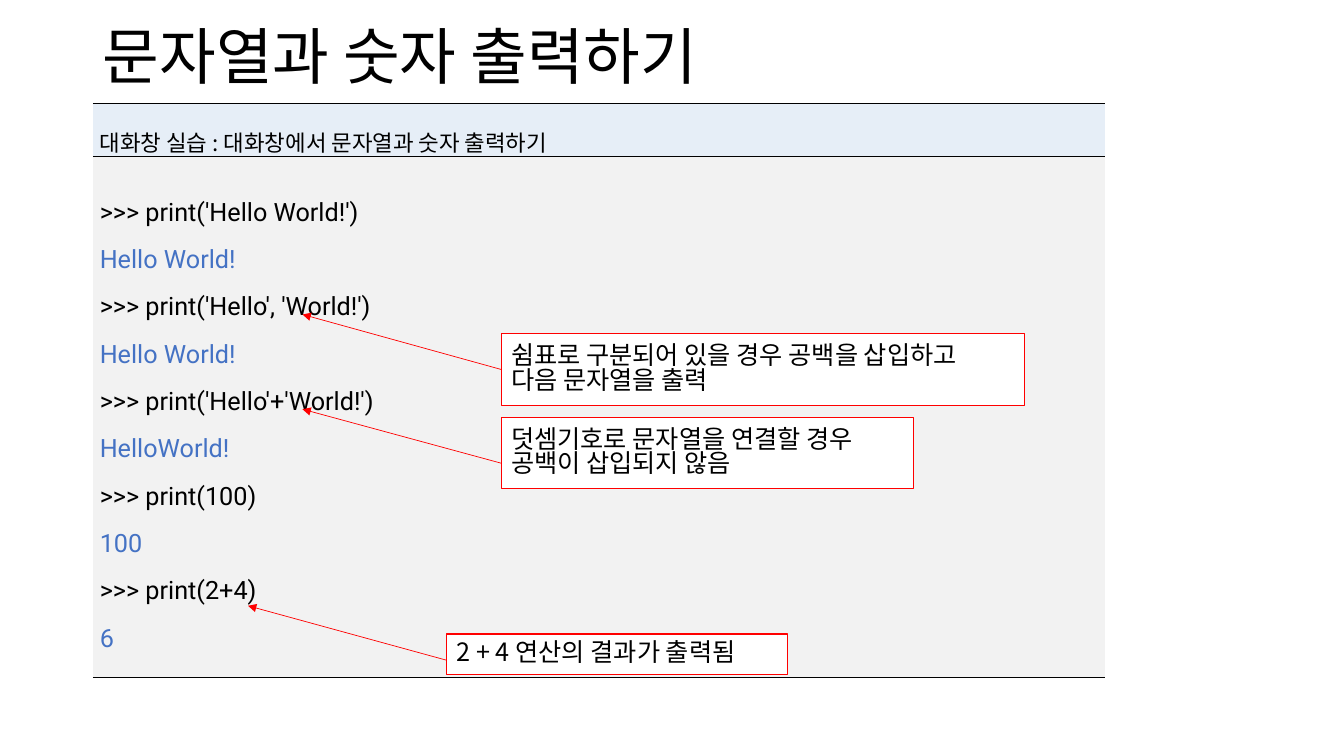
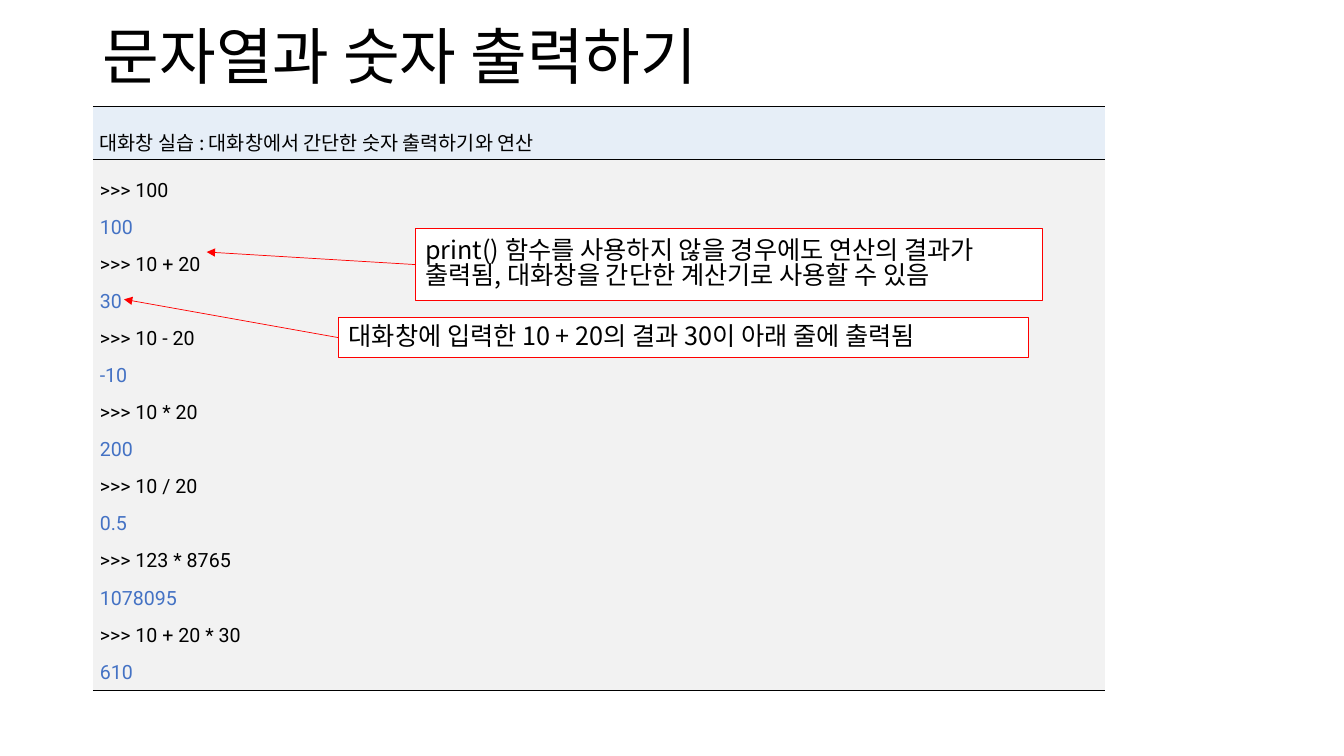
from dataclasses import dataclass

from lxml.etree import SubElement
from pptx import Presentation
from pptx.dml.color import RGBColor
from pptx.enum.shapes import MSO_CONNECTOR as CONN, MSO_SHAPE as SHAPE
from pptx.enum.text import MSO_ANCHOR as ANCHOR, PP_ALIGN as ALIGN
from pptx.oxml.ns import qn
from pptx.util import Emu, Pt

EMU_PER_PX = 9144  # 100 px to the inch


@dataclass(frozen=True)
class Theme:
    ink: str = "000000"
    output: str = "4472C4"
    header: str = "E6EEF7"
    console: str = "F2F2F2"
    paper: str = "FFFFFF"
    accent: str = "FF0000"
    korean: str = "Noto Sans CJK KR"
    code: str = "Roboto"
    title_size: int = 44
    note_size: int = 18
    title_spacing: float = 0.9
    table_spacing: float = 1.6
    note_spacing: float = 0.82
    rule: float = 0.28
    top_rule: float = 1
    box_line: float = 0.75
    arrow_line: float = 0.5


T = Theme()
TITLE_TEXT = "문자열과 숫자 출력하기"
TITLE_BOX = (92, 0, 1150, 119)
TABLE_LEFT, TABLE_WIDTH = 92, 1004
ROW_HEIGHTS = (52, 517)
PROMPT = ">>>"


def px(n):
    return Emu(round(n * EMU_PER_PX))


def rgb(value):
    return RGBColor.from_string(value)


def write(tf, lines, size, font, spacing, align=ALIGN.LEFT, color_of=lambda line: T.ink):
    """Fill a text frame with one paragraph per line."""
    tf.word_wrap = True
    tf.vertical_anchor = ANCHOR.MIDDLE
    tf.text = "\n".join(lines)
    for p in tf.paragraphs:
        p.alignment = align
        p.line_spacing = spacing
        for r in p.runs:
            r.font.size = Pt(size)
            r.font.name = font
            r.font.color.rgb = rgb(color_of(r.text))
            SubElement(r._r.get_or_add_rPr(), qn("a:ea"), typeface=font)


def console_color(line):
    return T.ink if line.startswith(PROMPT) else T.output


def add_title(slide, box):
    sp = slide.shapes.add_textbox(*map(px, box))
    write(sp.text_frame, [TITLE_TEXT], T.title_size, T.korean, T.title_spacing)


def style_cell(cell, fill, top, bottom):
    """Give a cell its margins, horizontal rules and fill; a width of 0 means no rule."""
    cell.margin_left = cell.margin_right = px(7)
    cell.margin_top = cell.margin_bottom = px(2)
    cell.vertical_anchor = ANCHOR.MIDDLE
    tcPr = cell._tc.get_or_add_tcPr()
    for tag, width in (("lnL", 0), ("lnR", 0), ("lnT", top), ("lnB", bottom)):
        ln = SubElement(tcPr, qn(f"a:{tag}"), w=str(Pt(width)))
        if width:
            solid = SubElement(ln, qn("a:solidFill"))
            SubElement(solid, qn("a:srgbClr"), val=T.ink)
        else:
            SubElement(ln, qn("a:noFill"))
    cell.fill.solid()
    cell.fill.fore_color.rgb = rgb(fill)


def add_console(slide, top, heading, heading_size, lines, code_size):
    """Add the two-row table: a heading over an interactive session."""
    box = (TABLE_LEFT, top, TABLE_WIDTH, sum(ROW_HEIGHTS))
    table = slide.shapes.add_table(2, 1, *map(px, box)).table
    table.first_row = table.horz_banding = False
    for row, height in zip(table.rows, ROW_HEIGHTS):
        row.height = px(height)
    head, body = table.cell(0, 0), table.cell(1, 0)
    style_cell(head, T.header, T.top_rule, T.rule)
    style_cell(body, T.console, T.rule, T.rule)
    write(head.text_frame, [heading], heading_size, T.korean, T.table_spacing, ALIGN.JUSTIFY)
    write(body.text_frame, lines, code_size, T.code, T.table_spacing,
          ALIGN.JUSTIFY, console_color)
    for cell in (head, body):
        cell.vertical_anchor = ANCHOR.MIDDLE


def add_callout(slide, box, lines, tip, drop=0):
    """Add a note with an arrow to tip, starting drop px below its left middle."""
    sp = slide.shapes.add_shape(SHAPE.RECTANGLE, *map(px, box))
    sp.shadow.inherit = False
    sp.fill.solid()
    sp.fill.fore_color.rgb = rgb(T.paper)
    sp.line.color.rgb = rgb(T.accent)
    sp.line.width = Pt(T.box_line)
    write(sp.text_frame, lines, T.note_size, T.korean, T.note_spacing)

    left, top, _, height = box
    start = (left, top + height / 2 + drop)
    arrow = slide.shapes.add_connector(CONN.STRAIGHT, *map(px, start + tip))
    if not drop:
        arrow.begin_connect(sp, 1)
    arrow.line.color.rgb = rgb(T.accent)
    arrow.line.width = Pt(T.arrow_line)
    spPr = arrow._element.spPr
    SubElement(spPr.find(qn("a:ln")), qn("a:tailEnd"), type="triangle")
    SubElement(spPr, qn("a:effectLst"))


def add_practice_slide(prs, console, callouts):
    slide = prs.slides.add_slide(prs.slide_layouts[6])
    add_title(slide, TITLE_BOX)
    add_console(slide, **console)
    for callout in callouts:
        add_callout(slide, **callout)


STRINGS = dict(
    top=103,
    heading="대화창 실습 : 대화창에서 문자열과 숫자 출력하기",
    heading_size=16,
    lines=[
        ">>> print('Hello World!')", "Hello World!",
        ">>> print('Hello', 'World!')", "Hello World!",
        ">>> print('Hello'+'World!')", "HelloWorld!",
        ">>> print(100)", "100",
        ">>> print(2+4)", "6",
    ],
    code_size=18,
)
STRING_NOTES = [
    dict(box=(497, 331, 519, 71), tip=(300, 312),
         lines=["쉼표로 구분되어 있을 경우 공백을 삽입하고", "다음 문자열을 출력"]),
    dict(box=(497, 414, 409, 71), tip=(300, 406), drop=10,
         lines=["덧셈기호로 문자열을 연결할 경우", "공백이 삽입되지 않음"]),
    dict(box=(443, 629, 338, 40), tip=(246, 601), drop=6,
         lines=["2 + 4 연산의 결과가 출력됨"]),
]

NUMBERS = dict(
    top=106,
    heading="대화창 실습 : 대화창에서 간단한 숫자 출력하기와 연산",
    heading_size=14,
    lines=[
        ">>> 100", "100",
        ">>> 10 + 20", "30",
        ">>> 10 - 20", "-10",
        ">>> 10 * 20", "200",
        ">>> 10 / 20", "0.5",
        ">>> 123 * 8765", "1078095",
        ">>> 10 + 20 * 30", "610",
    ],
    code_size=14,
)
NUMBER_NOTES = [
    dict(box=(412, 227, 622, 71), tip=(205, 250),
         lines=["print() 함수를 사용하지 않을 경우에도 연산의 결과가",
                "출력됨, 대화창을 간단한 계산기로 사용할 수 있음"]),
    dict(box=(336, 315, 684, 40), tip=(123, 297),
         lines=["대화창에 입력한 10 + 20의 결과 30이 아래 줄에 출력됨"]),
]


def main():
    prs = Presentation()
    prs.slide_width, prs.slide_height = px(1333), px(750)
    add_practice_slide(prs, STRINGS, STRING_NOTES)
    add_practice_slide(prs, NUMBERS, NUMBER_NOTES)
    prs.save("out.pptx")


if __name__ == "__main__":
    main()
